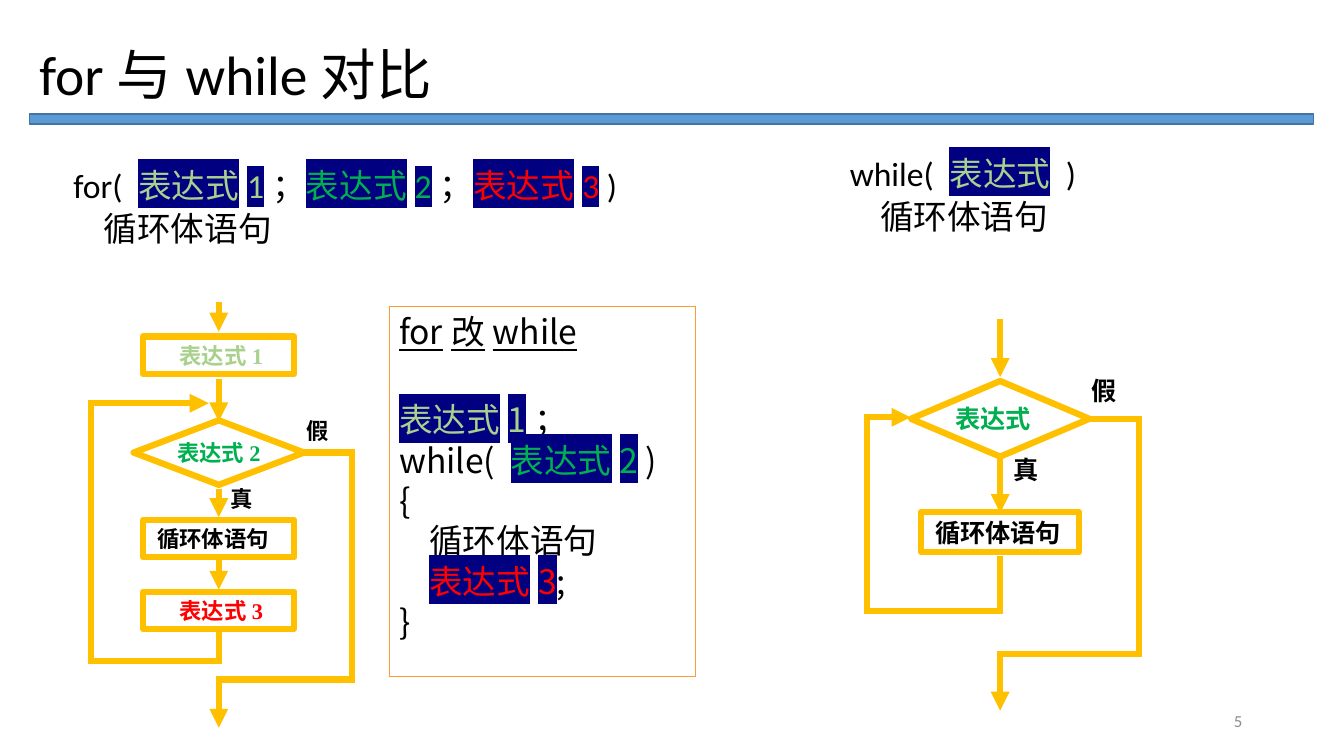
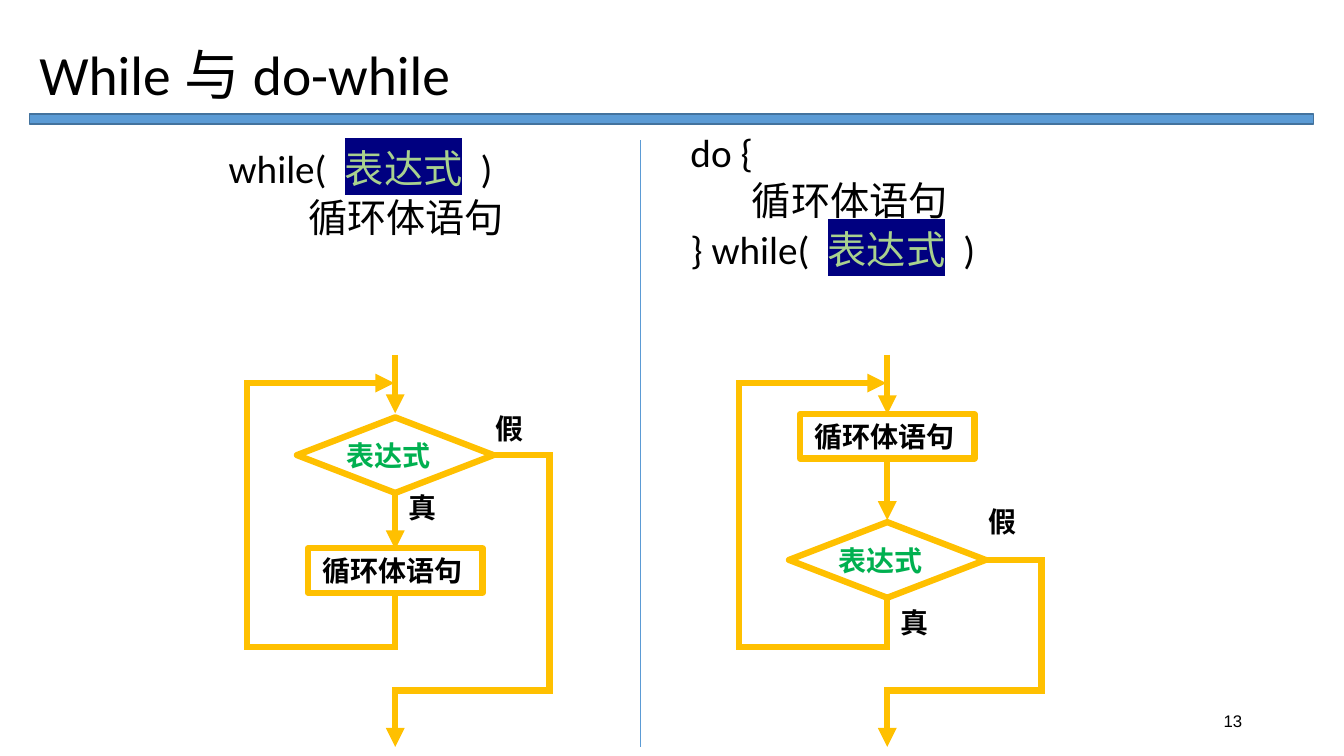
from dataclasses import dataclass

from pptx import Presentation
from pptx import util as u
from pptx.dml import color
from pptx.enum import shapes, text
from pptx.oxml import ns, xmlchemy

PX = 9144
COLORS = {
    "ink": "000000", "muted": "8C8C8C", "band": "5B9BD5", "band_edge": "43739E",
    "flow": "FFC000", "frame": "FF9933", "highlight": "000080",
    "first": "A9D18E", "second": "00B050", "third": "FF0000",
}
CJK = "Noto Sans CJK SC"
LEFT, CENTER, RIGHT = text.PP_ALIGN.LEFT, text.PP_ALIGN.CENTER, text.PP_ALIGN.RIGHT
TOP, MIDDLE = text.MSO_ANCHOR.TOP, text.MSO_ANCHOR.MIDDLE
BODY = "循环体语句"
CONDITION = ("表达式", "first")


def px(*lengths):
    return [u.Emu(round(length * PX)) for length in lengths]


def rgb(name):
    return color.RGBColor.from_string(COLORS[name])


def child(parent, tag, **attributes):
    element = xmlchemy.OxmlElement(tag)
    for key, value in attributes.items():
        element.set(key, value)
    parent.append(element)
    return element


def style(paragraph, size, font="Calibri", ink="ink", bold=False, align=LEFT):
    paragraph.alignment = align
    paragraph.font.size = u.Pt(size)
    paragraph.font.bold = bold
    paragraph.font.color.rgb = rgb(ink)
    paragraph.font.name = font
    child(paragraph._p.pPr.find(ns.qn("a:defRPr")), "a:ea", typeface=CJK)


def set_frame(frame, anchor=TOP, wrap=True, margins=(10, 5, 10, 5)):
    frame.auto_size = text.MSO_AUTO_SIZE.NONE
    frame.word_wrap = wrap
    frame.vertical_anchor = anchor
    (frame.margin_left, frame.margin_top,
     frame.margin_right, frame.margin_bottom) = px(*margins)
    return frame


def add_label(slide, box, words, anchor=TOP, **look):
    frame = set_frame(slide.shapes.add_textbox(*px(*box)).text_frame, anchor)
    frame.text = words
    style(frame.paragraphs[0], **look)


def add_outline(slide, kind, box, edge, width, fill=None):
    outline = slide.shapes.add_shape(kind, *px(*box))
    outline.shadow.inherit = False
    if fill:
        outline.fill.solid()
        outline.fill.fore_color.rgb = rgb(fill)
    else:
        outline.fill.background()
    outline.line.color.rgb = rgb(edge)
    outline.line.width = u.Pt(width)
    return outline


def add_line(slide, start, end, edge="flow", width=4.5, arrow=False):
    line = slide.shapes.add_connector(shapes.MSO_CONNECTOR.STRAIGHT, *px(*start, *end))
    line.line.color.rgb = rgb(edge)
    line.line.width = u.Pt(width)
    if arrow:
        child(line.line._get_or_add_ln(), "a:tailEnd", type="triangle")
    else:
        line.line._get_or_add_ln().set("cap", "sq")
    child(line._element.spPr, "a:effectLst")


def add_route(slide, points):
    last = len(points) - 2
    for index, (start, end) in enumerate(zip(points, points[1:])):
        add_line(slide, start, end, arrow=index == last)


def write_code(frame, lines, size, font="Calibri", spacing=1.0, before=0):
    for index, (indent, parts) in enumerate(lines):
        paragraph = frame.paragraphs[0] if index == 0 else frame.add_paragraph()
        style(paragraph, size, font)
        paragraph.line_spacing = spacing
        paragraph.space_before = u.Pt(before if index else 0)
        paragraph._p.pPr.set("marL", str(indent * PX))
        for part in parts:
            words, ink = part if isinstance(part, tuple) else (part, "ink")
            run = paragraph.add_run()
            run.text = words
            run.font.color.rgb = rgb(ink)
            if ink != "ink":
                mark = child(run._r.get_or_add_rPr(), "a:highlight")
                child(mark, "a:srgbClr", val=COLORS["highlight"])


def add_syntax(slide, box, lines, size):
    frame = set_frame(slide.shapes.add_textbox(*px(*box)).text_frame)
    write_code(frame, lines, size, spacing=0.8, before=8)


def add_rewrite(slide, box):
    panel = add_outline(slide, shapes.MSO_SHAPE.RECTANGLE, box, "frame", 0.75)
    frame = set_frame(panel.text_frame)
    write_code(frame, [
        (0, ["for改while"]),
        (0, [("表达式1", "first"), "；"]),
        (0, ["while( ", ("表达式2", "second"), " )"]),
        (0, ["{"]),
        (30, [BODY]),
        (30, [("表达式3", "third"), ";"]),
        (0, ["}"]),
    ], 24, font=CJK)
    heading, first_step = frame.paragraphs[:2]
    heading.font.underline = True
    first_step.space_before = u.Pt(34)


@dataclass
class Flow:
    size: int
    step: tuple
    steps: list
    test: tuple
    test_top: int
    test_text: str
    arrows: list
    back: tuple
    leave: tuple
    true_at: tuple
    false_at: tuple
    test_inset: int = 14


def add_flow(slide, axis, top, flow):
    def at(x, y):
        return axis + x, top + y

    def node(kind, size, y, words, ink, align, margins, wrap):
        width, height = size
        outline = add_outline(slide, kind, (*at(-width / 2, y), width, height), "flow", 4.5)
        frame = set_frame(outline.text_frame, MIDDLE, wrap, margins)
        frame.text = words
        style(frame.paragraphs[0], flow.size, "Times New Roman", ink, True, align)

    for start, end in flow.arrows:
        add_line(slide, at(0, start), at(0, end), arrow=True)

    stem, bottom, left, entry, tip = flow.back
    add_route(slide, [at(0, stem), at(0, bottom), at(left, bottom),
                      at(left, entry), at(tip, entry)])

    right, turn, end = flow.leave
    width, height = flow.test
    middle = flow.test_top + height / 2
    add_route(slide, [at(width / 2, middle), at(right, middle), at(right, turn),
                      at(0, turn), at(0, end)])

    for y, words, ink in flow.steps:
        align, inset = (LEFT, 14) if words == BODY else (CENTER, 10)
        node(shapes.MSO_SHAPE.RECTANGLE, flow.step, y, words, ink, align,
             (inset, 0, 5, 0), True)
    node(shapes.MSO_SHAPE.DIAMOND, flow.test, flow.test_top, flow.test_text,
         "second", CENTER, (0, 5, flow.test_inset, 5), False)

    for words, place in (("真", flow.true_at), ("假", flow.false_at)):
        add_label(slide, (*at(*place), 54, 43), words, size=flow.size,
                  font="Times New Roman", bold=True)


def while_flow(size, step, test_width, left, right, entry, tip, false_x):
    return Flow(size=size, step=step, steps=[(192, BODY, "ink")],
                test=(test_width, 75), test_top=62, test_text="表达式",
                arrows=[(0, 58), (135, 193)], back=(239, 290, left, entry, tip),
                leave=(right, 333, 389), true_at=(3, 130), false_at=(false_x, 51))


FOR_FLOW = Flow(
    size=16, step=(150, 37),
    steps=[(34, "表达式1", "first"), (216, BODY, "ink"), (287, "表达式3", "third")],
    test=(169, 64), test_top=117, test_text="表达式2",
    arrows=[(0, 29), (76, 118), (185, 213), (256, 285)],
    back=(328, 356, -127, 100, -10), leave=(132, 374, 422),
    true_at=(2, 176), false_at=(77, 109), test_inset=0)
DO_FLOW = Flow(
    size=20, step=(173, 44), steps=[(59, BODY, "ink")],
    test=(195, 75), test_top=166, test_text="表达式",
    arrows=[(0, 59), (106, 164)],
    back=(240, 290, -147, 28, -1), leave=(153, 333, 389),
    true_at=(3, 244), false_at=(91, 144))


def add_page(deck, title, number, **number_look):
    slide = deck.slides.add_slide(deck.slide_layouts[5])
    add_outline(slide, shapes.MSO_SHAPE.RECTANGLE, (29, 113, 1274, 10),
                "band_edge", 1, "band")
    heading = slide.shapes.title
    heading.left, heading.top, heading.width, heading.height = px(29, 40, 1274, 73)
    set_frame(heading.text_frame, MIDDLE).text = title
    style(heading.text_frame.paragraphs[0], 39.6)
    heading.text_frame.paragraphs[0].line_spacing = 0.9
    add_label(slide, (942, 695, 300, 40), number, MIDDLE, size=12, align=RIGHT,
              **number_look)
    return slide


def for_and_while(deck):
    slide = add_page(deck, "for与while对比", "5", ink="muted")
    add_syntax(slide, (63, 166, 560, 495), [
        (0, ["for( ", ("表达式1", "first"), "；", ("表达式2", "second"), "；",
             ("表达式3", "third"), " )"]),
        (30, [BODY]),
    ], 24)
    add_syntax(slide, (833, 154, 316, 495),
               [(0, ["while( ", CONDITION, " )"]), (30, [BODY])], 24)
    add_flow(slide, 217, 300, FOR_FLOW)
    add_flow(slide, 992, 316, while_flow(18, (157, 40), 177, -132, 138, 98, -89, 81))
    add_rewrite(slide, (386, 304, 304, 367))


def while_and_do(deck):
    slide = add_page(deck, "While与do-while", "13", font="Arial")
    add_syntax(slide, (217, 147, 442, 523),
               [(0, ["while( ", CONDITION, " )"]), (79, [BODY])], 28)
    add_syntax(slide, (675, 131, 442, 539),
               [(0, ["do {"]), (61, [BODY]), (0, ["} while( ", CONDITION, " )"])], 28)
    add_flow(slide, 392, 352, while_flow(20, (173, 44), 195, -147, 153, 28, -1, 90))
    add_flow(slide, 880, 352, DO_FLOW)
    add_line(slide, (635, 139), (635, 741), "band", 0.5)


def main():
    deck = Presentation()
    deck.slide_width, deck.slide_height = px(1333, 750)
    for_and_while(deck)
    while_and_do(deck)
    deck.save("out.pptx")


if __name__ == "__main__":
    main()
